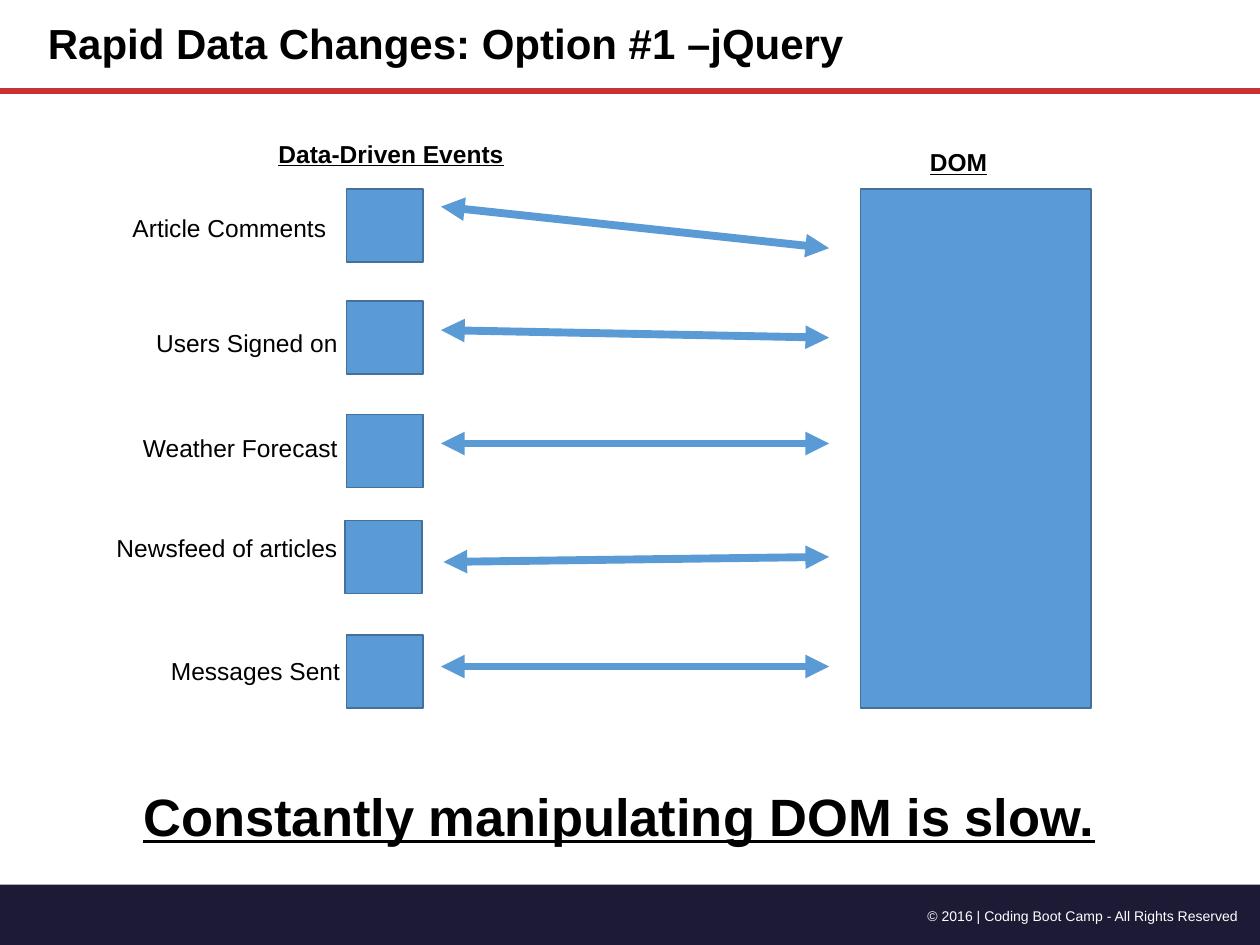
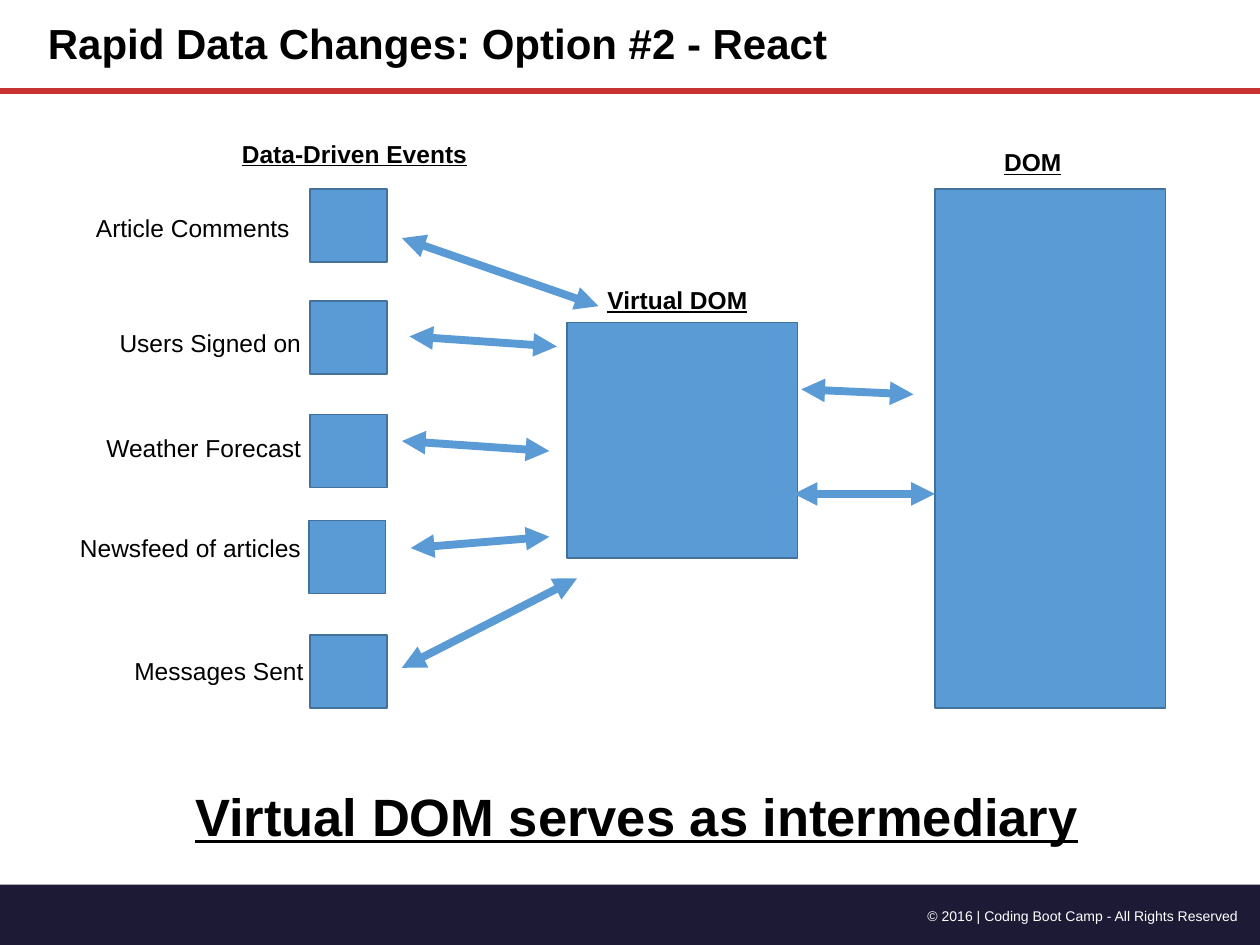
from lxml import etree
from pptx import Presentation
from pptx.dml.color import RGBColor
from pptx.enum.shapes import MSO_CONNECTOR as Connector, MSO_SHAPE as Shape
from pptx.enum.text import MSO_ANCHOR as Anchor, PP_ALIGN as Align
from pptx.oxml.ns import qn
from pptx.util import Inches, Pt

# Content: lengths in inches
COPYRIGHT = "© 2016 | Coding Boot Camp - All Rights Reserved"

# label, top of its box, top of its label, box shift, gap from label to box
EVENTS = [
    ("Article Comments", 1.5, 1.64, 0, 0.11),
    ("Users Signed on", 2.39, 2.55, 0, 0.02),
    ("Weather Forecast", 3.29, 3.39, 0, 0.02),
    ("Newsfeed of articles", 4.13, 4.18, -0.01, 0.02),
    ("Messages Sent", 5.04, 5.16, 0, 0),
]

# Each arrow: start x, start y, end x, end y
SLIDES = [
    {
        "title": "Rapid Data Changes: Option #1 –jQuery",
        "events_x": 2.75,
        "dom_x": 6.83,
        "virtual_dom": False,
        "arrows": [
            (3.5, 1.64, 6.58, 1.97),
            (3.5, 2.62, 6.58, 2.68),
            (3.5, 3.52, 6.58, 3.52),
            (3.52, 4.46, 6.58, 4.42),
            (3.5, 5.29, 6.58, 5.29),
        ],
        "takeaway": ("Constantly manipulating DOM is slow.", 0.33, 9.17),
    },
    {
        "title": "Rapid Data Changes: Option #2 - React",
        "events_x": 2.46,
        "dom_x": 7.42,
        "virtual_dom": True,
        "arrows": [
            (3.19, 1.89, 4.75, 2.43),
            (3.25, 2.67, 4.42, 2.75),
            (3.19, 3.5, 4.36, 3.58),
            (3.26, 4.35, 4.36, 4.26),
            (3.19, 5.3, 4.58, 4.59),
            (6.36, 3.09, 7.25, 3.13),
            (6.3, 3.92, 7.42, 3.92),
        ],
        "takeaway": ("Virtual DOM serves as intermediary", 1.2, 7.71),
    },
]

# Shared style
FONT = "Arial"
BLACK = RGBColor(0x00, 0x00, 0x00)
WHITE = RGBColor(0xFF, 0xFF, 0xFF)
NAVY = RGBColor(0x1D, 0x1A, 0x36)
RED = RGBColor(0xC8, 0x32, 0x32)
BLUE = RGBColor(0x5B, 0x9B, 0xD5)
BLUE_EDGE = RGBColor(0x42, 0x71, 0x9B)

WIDTH, HEIGHT = 10, 7.5
RULE_Y, FOOTER_Y = 0.72, 7.02
EVENT_SIZE = (0.61, 0.58)
LABEL_WIDTH, LABEL_HEIGHT = 2.44, 0.32
DOM_TOP, DOM_WIDTH, DOM_HEIGHT = 1.5, 1.83, 4.12
VIRTUAL_X, VIRTUAL_TOP, VIRTUAL_HEIGHT = 4.5, 2.56, 1.87


def add_text(slide, text, left, top, width, height=LABEL_HEIGHT, size=14,
             color=BLACK, align=Align.LEFT, bold=False, underline=False):
    frame = slide.shapes.add_textbox(
        *map(Inches, (left, top, width, height))).text_frame
    frame.word_wrap = True
    frame.margin_left = frame.margin_right = Inches(0.05)
    frame.margin_top = frame.margin_bottom = Inches(0.05)
    paragraph = frame.paragraphs[0]
    paragraph.text = text
    paragraph.alignment = align
    font = paragraph.font
    font.name, font.size, font.bold = FONT, Pt(size), bold
    font.underline = underline
    font.color.rgb = color
    return frame


def add_caption(slide, text, left, top, width):
    add_text(slide, text, left, top, width, bold=True, underline=True)


def add_box(slide, left, top, width, height, fill=BLUE, edge=BLUE_EDGE):
    box = slide.shapes.add_shape(
        Shape.RECTANGLE, *map(Inches, (left, top, width, height)))
    box.shadow.inherit = False
    box.fill.solid()
    box.fill.fore_color.rgb = fill
    if edge is None:
        box.line.fill.background()
    else:
        box.line.color.rgb = edge
        box.line.width = Pt(1)


def add_line(slide, ends, color, weight, arrowheads=False):
    line = slide.shapes.add_connector(
        Connector.STRAIGHT, *map(Inches, ends))
    line.line.color.rgb = color
    line.line.width = Pt(weight)
    if arrowheads:
        stroke = line.line._get_or_add_ln()
        for end in ("a:headEnd", "a:tailEnd"):
            etree.SubElement(stroke, qn(end), type="triangle")
    etree.SubElement(line._element.spPr, qn("a:effectLst"))


def add_frame(slide, title):
    """Footer band, red rule and title."""
    add_box(slide, 0, FOOTER_Y, WIDTH, HEIGHT - FOOTER_Y, NAVY, None)
    add_text(slide, COPYRIGHT, 6.83, 7.15, 3.05, 0.22, size=8,
             color=WHITE, align=Align.RIGHT)
    add_line(slide, (0, RULE_Y, WIDTH, RULE_Y), RED, 3.25)
    heading = add_text(slide, title, 0.33, 0, 8.75, RULE_Y, size=24, bold=True)
    heading.vertical_anchor = Anchor.MIDDLE
    heading.paragraphs[0].line_spacing = 0.9


def add_events(slide, column):
    add_caption(slide, "Data-Driven Events", column - 0.59, 1.05, 2.04)
    for label, box_top, label_top, shift, gap in EVENTS:
        add_box(slide, column + shift, box_top, *EVENT_SIZE)
        add_text(slide, label, column - gap - LABEL_WIDTH, label_top,
                 LABEL_WIDTH, align=Align.RIGHT)


def add_diagram(slide, content):
    add_events(slide, content["events_x"])
    dom_x = content["dom_x"]
    add_caption(slide, "DOM", dom_x + 0.5, 1.12, 1.13)
    add_box(slide, dom_x, DOM_TOP, DOM_WIDTH, DOM_HEIGHT)
    if content["virtual_dom"]:
        add_caption(slide, "Virtual DOM", VIRTUAL_X + 0.27, 2.21, 1.42)
        add_box(slide, VIRTUAL_X, VIRTUAL_TOP, DOM_WIDTH, VIRTUAL_HEIGHT)
    for arrow in content["arrows"]:
        add_line(slide, arrow, BLUE, 4.5, arrowheads=True)


def main():
    deck = Presentation()
    deck.slide_width, deck.slide_height = Inches(WIDTH), Inches(HEIGHT)
    for content in SLIDES:
        slide = deck.slides.add_slide(deck.slide_layouts[6])
        add_frame(slide, content["title"])
        add_diagram(slide, content)
        takeaway, left, width = content["takeaway"]
        add_text(slide, takeaway, left, 6.17, width, 0.56, size=30,
                 align=Align.CENTER, bold=True, underline=True)
    deck.save("out.pptx")


if __name__ == "__main__":
    main()
